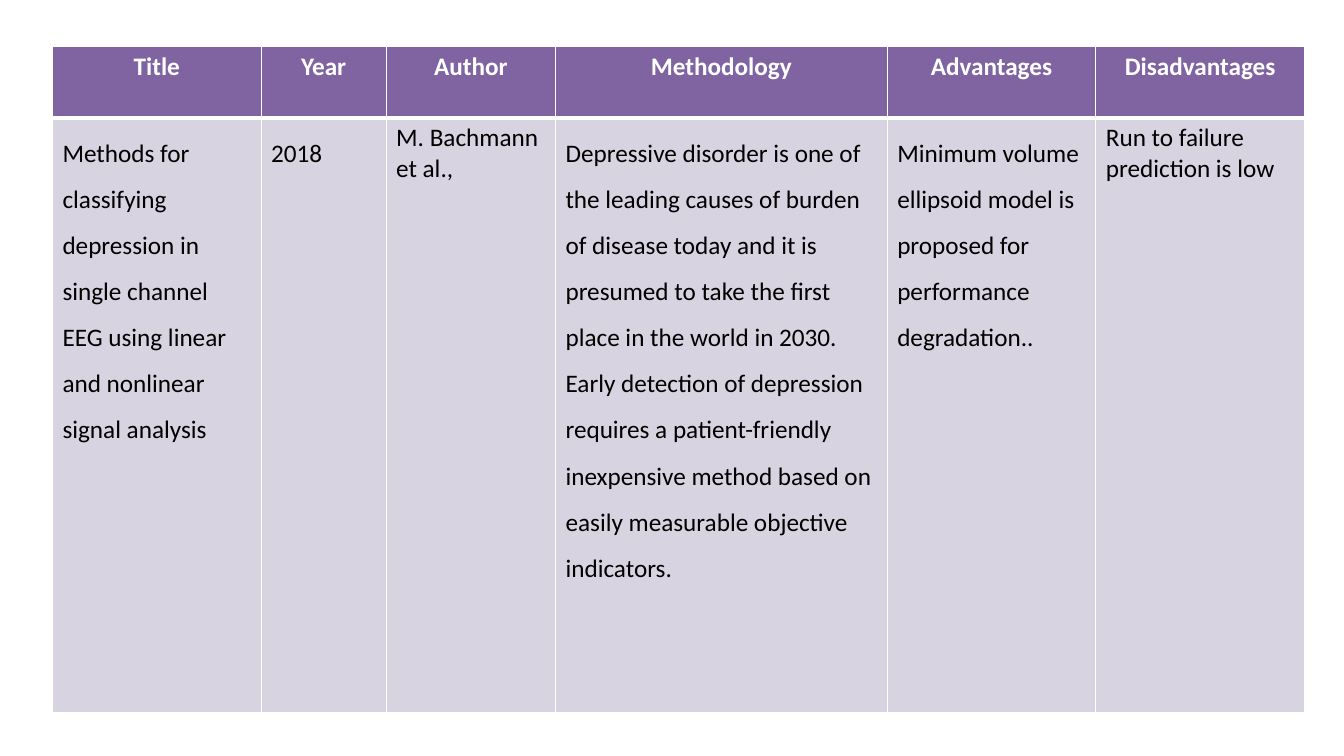
from lxml.etree import SubElement as Sub
from pptx import Presentation
from pptx.dml.color import RGBColor as RGB
from pptx.enum.text import PP_ALIGN as Align
from pptx.oxml.ns import qn
from pptx.util import Inches, Pt

COLORS = {"head": "8064A2", "body": "D8D3E0", "line": "FFFFFF",
          "light": "FFFFFF", "dark": "000000"}
WIDTHS = [2.07, 1.24, 1.68, 3.29, 2.07, 2.07]
HEIGHTS = [0.71, 5.9]
HEADS = ["Title", "Year", "Author", "Methodology", "Advantages", "Disadvantages"]
PAPER = [
    ("Methods for classifying depression in single channel EEG using linear "
     "and nonlinear signal analysis", 1.5),
    ("2018", 1.5),
    ("M. Bachmann et al.,", 1.0),
    ("Depressive disorder is one of the leading causes of burden of disease "
     "today and it is presumed to take the first place in the world in 2030. "
     "Early detection of depression requires a patient-friendly inexpensive "
     "method based on easily measurable objective indicators.", 1.5),
    ("Minimum volume ellipsoid model is proposed for performance degradation..", 1.5),
    ("Run to failure prediction is low", 1.0),
]


def set_edges(cell, top, low):
    """Draw the four borders of a cell, with the given top and bottom widths."""
    props = cell._tc.get_or_add_tcPr()
    for tag, size in (("lnL", 1), ("lnR", 1), ("lnT", top), ("lnB", low)):
        line = Sub(props, qn(f"a:{tag}"), w=str(Pt(size)))
        fill = Sub(line, qn("a:solidFill"))
        Sub(fill, qn("a:srgbClr"), val=COLORS["line"])


def fill_cell(cell, text, fill, ink):
    """Write text in a filled cell and return its paragraph."""
    cell.fill.solid()
    cell.fill.fore_color.rgb = RGB.from_string(COLORS[fill])
    cell.text = text
    para = cell.text_frame.paragraphs[0]
    para.font.name = "Calibri"
    para.font.size = Pt(18)
    para.font.color.rgb = RGB.from_string(COLORS[ink])
    return para


def add_head(cell, text):
    """Format one heading cell."""
    set_edges(cell, 1, 3)
    para = fill_cell(cell, text, "head", "light")
    para.font.bold = True
    para.alignment = Align.CENTER


def add_body(cell, text, space):
    """Format one cell of the paper's row."""
    set_edges(cell, 3, 1)
    para = fill_cell(cell, text, "body", "dark")
    para.font.bold = False
    para.line_spacing = space


def add_grid(slide):
    """Add the literature survey table."""
    grid = slide.shapes.add_table(
        len(HEIGHTS), len(WIDTHS), Inches(0.52), Inches(0.46),
        Inches(sum(WIDTHS)), Inches(sum(HEIGHTS))).table
    for col, width in zip(grid.columns, WIDTHS):
        col.width = Inches(width)
    for row, height in zip(grid.rows, HEIGHTS):
        row.height = Inches(height)
    for col, (head, (text, space)) in enumerate(zip(HEADS, PAPER)):
        add_head(grid.cell(0, col), head)
        add_body(grid.cell(1, col), text, space)


def main():
    """Build and save the slide."""
    deck = Presentation()
    deck.slide_width = Inches(13.33)
    deck.slide_height = Inches(7.5)
    add_grid(deck.slides.add_slide(deck.slide_layouts[6]))
    deck.save("out.pptx")


if __name__ == "__main__":
    main()
